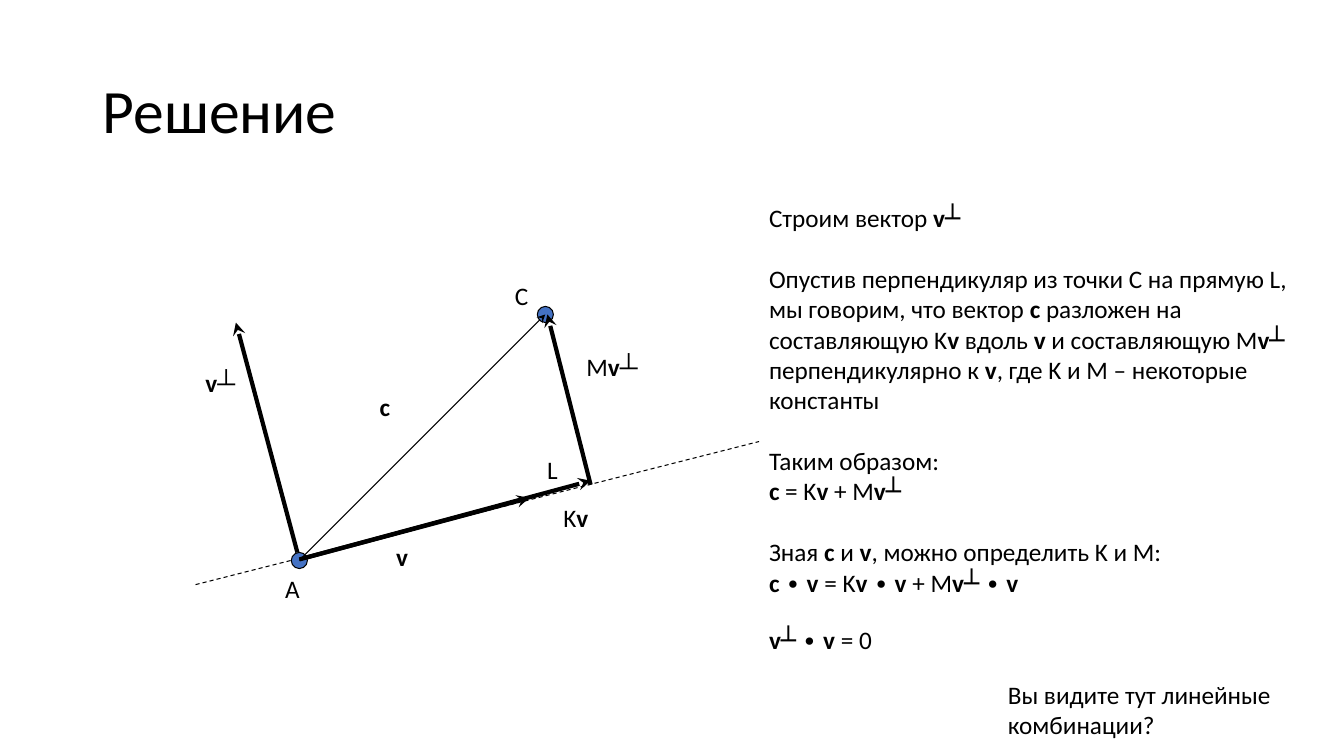
"""Build the slide that decomposes vector c along v and its perpendicular."""
from dataclasses import dataclass

from lxml import etree
from pptx import Presentation
from pptx.dml.color import RGBColor
from pptx.enum.dml import MSO_LINE
from pptx.enum.shapes import MSO_CONNECTOR, MSO_SHAPE
from pptx.enum.text import MSO_ANCHOR, MSO_AUTO_SIZE
from pptx.oxml.ns import qn
from pptx.util import Pt

STRAIGHT = MSO_CONNECTOR.STRAIGHT
OVAL = MSO_SHAPE.OVAL
DASH = MSO_LINE.DASH
MIDDLE = MSO_ANCHOR.MIDDLE
FIT_SHAPE = MSO_AUTO_SIZE.SHAPE_TO_FIT_TEXT

COLORS = {"ink": "000000", "dot": "4472C4", "paper": "FFFFFF"}
FONT = "Calibri"
PERP_FONT = "Arial"
PERP = "┴"
DOT_SIZE = 11.5
LABEL_HEIGHT = 28.8
PARAGRAPH_GAP = 22


@dataclass(frozen=True)
class Text:
    """A text box whose paragraphs mark bold parts with asterisks."""
    left: float
    top: float
    width: float
    paragraphs: tuple[str, ...]
    height: float = LABEL_HEIGHT
    wrap: bool = False
    perp_font: str = FONT


@dataclass(frozen=True)
class Line:
    """A straight line, dashed or ending in an arrowhead."""
    x1: float
    y1: float
    x2: float
    y2: float
    weight: float = 3
    dashed: bool = False


@dataclass(frozen=True)
class Dot:
    """A marked point, placed by its top left corner."""
    left: float
    top: float


LINE_L = Line(139.7, 417.6, 542.2, 315.4, 0.75, dashed=True)

DOTS = (Dot(208.1, 394.6), Dot(383.8, 218.9))

VECTORS = (
    Line(421.9, 346.3, 391, 224.6),
    Line(213.8, 400.3, 389.5, 224.6, 0.75),
    Line(213.8, 399.6, 378, 355.7),
    Line(212.4, 394.6, 168.5, 230.4),
    Line(218.9, 398.2, 421.9, 343.4),
)

TEXTS = (
    Text(196.6, 406.1, 25.2, ("A",)),
    Text(360.7, 196.6, 25.2, ("C",)),
    Text(275.8, 383, 25.2, ("*v*",)),
    Text(264.2, 275.8, 23.8, ("*c*",)),
    Text(383.8, 321.1, 23.8, ("L",)),
    Text(139.7, 258.5, 37.4, ("*v*┴",), perp_font=PERP_FONT),
    Text(411.8, 247.7, 51.8, ("M*v*┴",), perp_font=PERP_FONT),
    Text(395.3, 355, 35.3, ("K*v*",)),
    Text(542.2, 141.1, 402.5, (
        "Строим вектор *v*┴",
        "Опустив перпендикуляр из точки C на прямую L, мы говорим, что вектор "
        "*c *разложен на составляющую K*v *вдоль *v *и составляющую M*v*┴ "
        "перпендикулярно к *v*, где K и M – некоторые константы",
        "Таким образом:\n*c* = K*v* + M*v*┴",
        "Зная *c *и *v*, можно определить K и M:\n"
        "*c *∙ *v* = K*v *∙ *v* + M*v*┴ ∙ *v*",
    ), height=290.9, wrap=True),
    Text(542.2, 442.1, 100.1, ("*v*┴ ∙ *v* = 0",)),
    Text(712.8, 481.7, 243.4, ("Вы видите тут линейные комбинации?",),
         height=51.1, wrap=True),
)


def color(name: str) -> RGBColor:
    """Return the named colour."""
    return RGBColor.from_string(COLORS[name])


def add_run(p, text: str, size: float, bold: bool = False,
            font: str = FONT) -> None:
    """Append one formatted run to a paragraph."""
    r = p.add_run()
    r.text = text
    r.font.name = font
    r.font.size = Pt(size)
    r.font.bold = bold
    r.font.color.rgb = color("ink")


def add_markup(p, markup: str, perp_font: str) -> None:
    """Append the lines of a paragraph, switching bold at each asterisk."""
    for number, line in enumerate(markup.split("\n")):
        if number:
            p.add_line_break()
        for i, part in enumerate(line.split("*")):
            if part:
                font = perp_font if part == PERP else FONT
                add_run(p, part, 18, bool(i % 2), font)


def draw_text(slide, text: Text) -> None:
    """Draw a text box with gaps between its paragraphs."""
    sp = slide.shapes.add_textbox(Pt(text.left), Pt(text.top),
                                  Pt(text.width), Pt(text.height))
    tf = sp.text_frame
    tf.word_wrap = text.wrap
    tf.auto_size = FIT_SHAPE
    for i, markup in enumerate(text.paragraphs):
        p = tf.add_paragraph() if i else tf.paragraphs[0]
        if i:
            p.space_before = Pt(PARAGRAPH_GAP)
        add_markup(p, markup, text.perp_font)


def draw_line(slide, line: Line) -> None:
    """Draw a dashed line or an arrow."""
    sp = slide.shapes.add_connector(STRAIGHT, Pt(line.x1), Pt(line.y1),
                                    Pt(line.x2), Pt(line.y2))
    sp.line.color.rgb = color("ink")
    sp.line.width = Pt(line.weight)
    if line.dashed:
        sp.line.dash_style = DASH
    else:
        ln = sp.line._get_or_add_ln()
        etree.SubElement(ln, qn("a:tailEnd"), type="stealth")
    etree.SubElement(sp._element.spPr, qn("a:effectLst"))


def draw_dot(slide, dot: Dot) -> None:
    """Draw a marked point."""
    sp = slide.shapes.add_shape(OVAL, Pt(dot.left), Pt(dot.top),
                                Pt(DOT_SIZE), Pt(DOT_SIZE))
    sp.shadow.inherit = False
    sp.fill.solid()
    sp.fill.fore_color.rgb = color("dot")
    sp.line.color.rgb = color("ink")
    sp.line.width = Pt(0.75)


def draw_title(slide, text: str) -> None:
    """Place and format the title placeholder."""
    sp = slide.shapes.title
    sp.left, sp.top, sp.width, sp.height = Pt(66.2), Pt(28.8), Pt(828), Pt(104.4)
    tf = sp.text_frame
    tf.vertical_anchor = MIDDLE
    p = tf.paragraphs[0]
    p.alignment = 1
    p.line_spacing = 0.9
    add_run(p, text, 44)


def main() -> None:
    """Build and save the presentation."""
    prs = Presentation()
    prs.slide_width, prs.slide_height = Pt(960), Pt(540)
    slide = prs.slides.add_slide(prs.slide_layouts[5])
    slide.background.fill.solid()
    slide.background.fill.fore_color.rgb = color("paper")
    draw_title(slide, "Решение")
    draw_line(slide, LINE_L)
    for dot in DOTS:
        draw_dot(slide, dot)
    for vector in VECTORS:
        draw_line(slide, vector)
    for text in TEXTS:
        draw_text(slide, text)
    prs.save("out.pptx")


if __name__ == "__main__":
    main()
